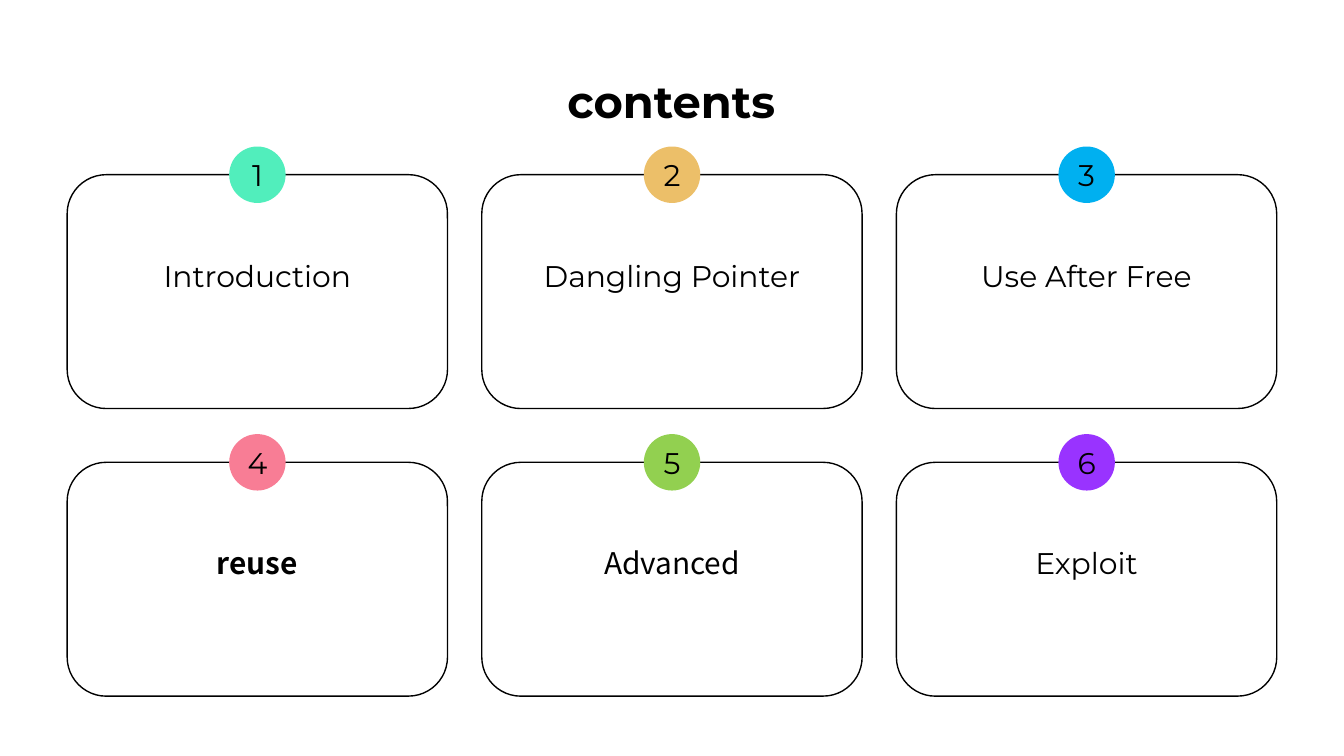
import pptx
import pptx.util
import pptx.dml.color
import pptx.enum.shapes
import pptx.enum.text

Inches = pptx.util.Inches
Pt = pptx.util.Pt
RGBColor = pptx.dml.color.RGBColor
SHAPE = pptx.enum.shapes.MSO_SHAPE
ANCHOR = pptx.enum.text.MSO_ANCHOR
CENTER = pptx.enum.text.PP_ALIGN.CENTER

BLACK = RGBColor(0x00, 0x00, 0x00)
MINT = RGBColor(0x51, 0xEE, 0xBC)
GOLD = RGBColor(0xEC, 0xBF, 0x69)
BLUE = RGBColor(0x00, 0xB0, 0xF0)
PINK = RGBColor(0xF8, 0x7D, 0x95)
GREEN = RGBColor(0x92, 0xD0, 0x50)
PURPLE = RGBColor(0x99, 0x33, 0xFF)
MAIN = "Montserrat"
SANS = "Noto Sans CJK KR"

TITLE = "contents"
TOPICS = [  # label, badge colour, font, bold
    ("Introduction", MINT, MAIN, False),
    ("Dangling Pointer", GOLD, MAIN, False),
    ("Use After Free", BLUE, MAIN, False),
    ("reuse", PINK, SANS, True),
    ("Advanced", GREEN, SANS, False),
    ("Exploit", PURPLE, MAIN, False),
]

WIDTH = 10
HEIGHT = WIDTH * 9 / 16
COLS = 3
LEFT, TOP = 0.5, 1.3
CARD_W, CARD_H = 2.83, 1.74
STEP_X = (WIDTH - 2 * LEFT - CARD_W) / (COLS - 1)
STEP_Y = 2.14
BADGE = 0.42
LABEL_W, LABEL_H, LABEL_DROP = 2.43, 0.4, 0.53


def write(shape, text, size, font, bold, anchor, pad_x, pad_y):
    """Fill a shape with one centred line of black text."""
    frame = shape.text_frame
    frame.word_wrap = True
    frame.auto_size = pptx.enum.text.MSO_AUTO_SIZE.NONE
    frame.vertical_anchor = anchor
    frame.margin_left = frame.margin_right = Inches(pad_x)
    frame.margin_top = frame.margin_bottom = Inches(pad_y)
    para = frame.paragraphs[0]
    para.text = text
    para.alignment = CENTER
    para.font.size = Pt(size)
    para.font.name = font
    para.font.bold = bold
    para.font.color.rgb = BLACK


def add_card(shapes, x, y):
    card = shapes.add_shape(SHAPE.ROUNDED_RECTANGLE, Inches(x), Inches(y),
                            Inches(CARD_W), Inches(CARD_H))
    card.adjustments[0] = 0.167
    card.shadow.inherit = False
    card.fill.background()
    card.line.color.rgb = BLACK
    card.line.width = Pt(0.75)


def add_label(shapes, mid, y, text, font, bold):
    label = shapes.add_textbox(Inches(mid - LABEL_W / 2), Inches(y + LABEL_DROP),
                               Inches(LABEL_W), Inches(LABEL_H))
    write(label, text, 16, font, bold, ANCHOR.BOTTOM, 0.1, 0.05)


def add_badge(shapes, mid, y, number, color):
    """Place a numbered disc centred on the card's top edge."""
    badge = shapes.add_shape(SHAPE.OVAL, Inches(mid - BADGE / 2), Inches(y - BADGE / 2),
                             Inches(BADGE), Inches(BADGE))
    badge.shadow.inherit = False
    badge.fill.solid()
    badge.fill.fore_color.rgb = color
    badge.line.fill.background()
    write(badge, str(number), 16, MAIN, False, ANCHOR.MIDDLE, 0, 0)


def main():
    deck = pptx.Presentation()
    deck.slide_width = Inches(WIDTH)
    deck.slide_height = Inches(HEIGHT)
    shapes = deck.slides.add_slide(deck.slide_layouts[5]).shapes

    title = shapes.title
    title.left, title.top = Inches(0.49), Inches(0.45)
    title.width, title.height = Inches(9.01), Inches(0.61)
    write(title, TITLE, 24, MAIN, True, ANCHOR.TOP, 0.1, 0.1)

    for i, (text, color, font, bold) in enumerate(TOPICS):
        row, col = divmod(i, COLS)
        x, y = LEFT + col * STEP_X, TOP + row * STEP_Y
        mid = x + CARD_W / 2
        add_card(shapes, x, y)
        add_label(shapes, mid, y, text, font, bold)
        add_badge(shapes, mid, y, i + 1, color)

    deck.save("out.pptx")


if __name__ == "__main__":
    main()
